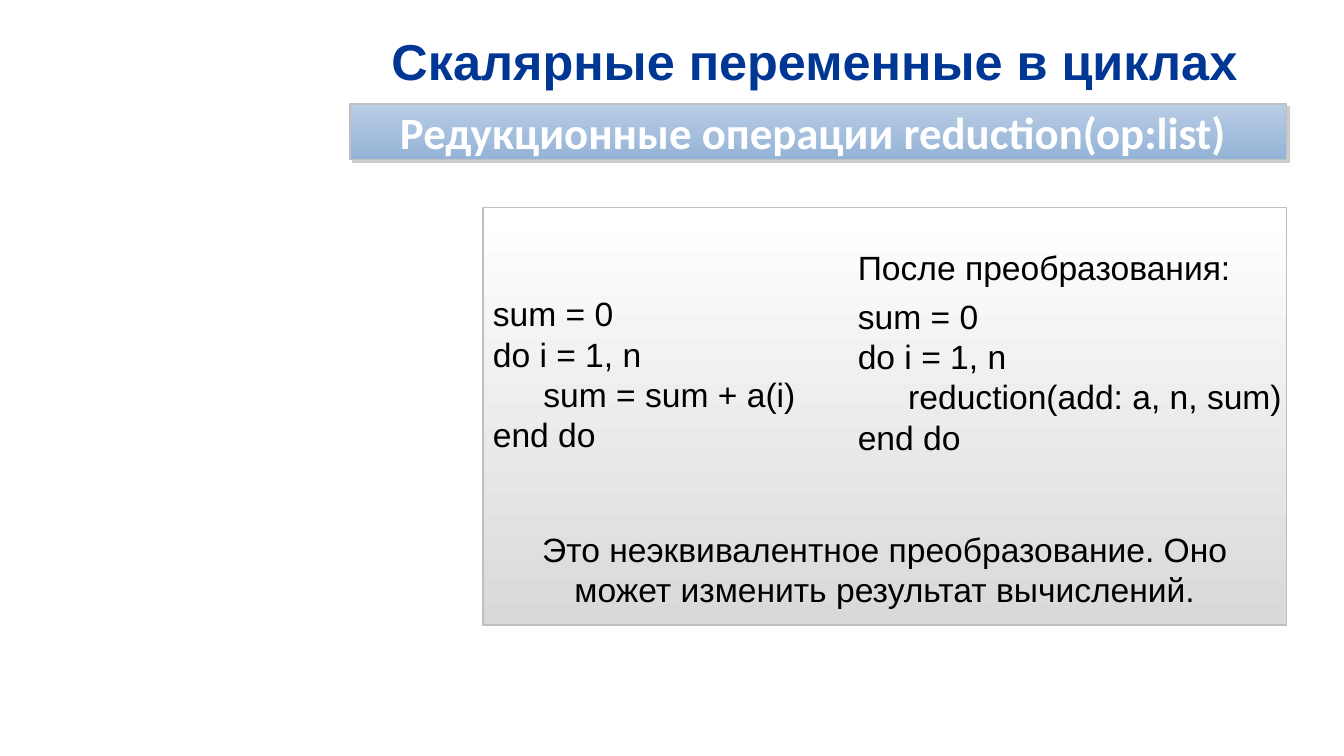
from pptx import Presentation
from pptx.dml.color import RGBColor
from pptx.enum import shapes, text
from pptx.oxml import parse_xml
from pptx.oxml.ns import nsdecls
from pptx.util import Inches, Pt

CENTER = text.PP_ALIGN.CENTER
LEFT = text.PP_ALIGN.LEFT
CODE_INDENT = Inches(0.5)


def color(value):
    return RGBColor.from_string(value)


def add_panel(slide, box, top_color, bottom_color):
    """Rectangle with a downward gradient and a thin grey outline."""
    shape = slide.shapes.add_shape(
        shapes.MSO_SHAPE.RECTANGLE, *[Inches(length) for length in box])
    shape.shadow.inherit = False
    shape.fill.gradient()
    shape.fill.gradient_angle = 270
    for stop, value in zip(shape.fill.gradient_stops, (top_color, bottom_color)):
        stop.color.rgb = color(value)
    shape.line.color.rgb = color("C0C0C0")
    shape.line.width = Pt(1)
    shape.text_frame.word_wrap = True
    return shape


def add_text_box(slide, box):
    shape = slide.shapes.add_textbox(*[Inches(length) for length in box])
    shape.text_frame.word_wrap = True
    return shape


def add_drop_shadow(shape):
    shape._element.spPr.find(".//{*}effectLst").append(parse_xml(
        f'<a:outerShdw {nsdecls("a")} blurRad="0" dist="38100" dir="2700000">'
        '<a:srgbClr val="808080"><a:alpha val="40000"/></a:srgbClr>'
        '</a:outerShdw>'))


def add_line(shape, line, size=24, font="Arial", fill="000000", bold=False,
             align=LEFT, before=0, after=0, indent=0):
    """Write the next paragraph of a shape."""
    frame = shape.text_frame
    paragraph = frame.add_paragraph() if frame.text else frame.paragraphs[0]
    paragraph.text = line
    paragraph.alignment = align
    paragraph.space_before = Pt(before)
    paragraph.space_after = Pt(after)
    paragraph.font.size = Pt(size)
    paragraph.font.name = font
    paragraph.font.bold = bold
    paragraph.font.color.rgb = color(fill)
    if indent:
        properties = paragraph._p.get_or_add_pPr()
        properties.set("marL", str(indent))
        properties.set("indent", "0")


def add_loop(shape, body):
    """Write the summing loop with the given body statement."""
    add_line(shape, "sum = 0")
    add_line(shape, "do i = 1, n")
    add_line(shape, body, indent=CODE_INDENT)
    add_line(shape, "end do")


def main():
    presentation = Presentation()
    presentation.slide_width = Inches(13.33)
    presentation.slide_height = Inches(7.5)
    slide = presentation.slides.add_slide(presentation.slide_layouts[6])

    # Title
    title = add_text_box(slide, (3.2, 0.12, 9.76, 0.95))
    title.text_frame.vertical_anchor = text.MSO_ANCHOR.MIDDLE
    add_line(title, "Скалярные переменные в циклах", 36, fill="003794",
             bold=True, align=CENTER)

    # Loop before the transformation, with the conclusion below
    source_loop = add_panel(slide, (4.79, 2.06, 7.97, 4.14), "FFFFFF", "D9D9D9")
    source_loop.text_frame.vertical_anchor = text.MSO_ANCHOR.TOP
    source_loop.text_frame.margin_top = Inches(0.85)
    add_loop(source_loop, "sum = sum + a(i)")
    add_line(source_loop, "Это неэквивалентное преобразование. "
             "Оно может изменить результат вычислений.",
             align=CENTER, before=53)

    # Loop after the transformation
    reduced_loop = add_text_box(slide, (8.41, 2.4, 4.56, 2.2))
    add_line(reduced_loop, "После преобразования:", before=6, after=6)
    add_loop(reduced_loop, "reduction(add: a, n, sum)")

    # Subtitle bar
    subtitle = add_panel(slide, (3.47, 1.03, 9.29, 0.55), "B9CDE5", "95B3D7")
    add_drop_shadow(subtitle)
    frame = subtitle.text_frame
    frame.vertical_anchor = text.MSO_ANCHOR.MIDDLE
    frame.margin_left = frame.margin_right = Inches(0.24)
    frame.margin_top = frame.margin_bottom = Inches(0.04)
    add_line(subtitle, "Редукционные операции reduction(op:list) ", 32,
             "Calibri", "FFFFFF", bold=True, align=CENTER)

    presentation.save("out.pptx")


if __name__ == "__main__":
    main()
